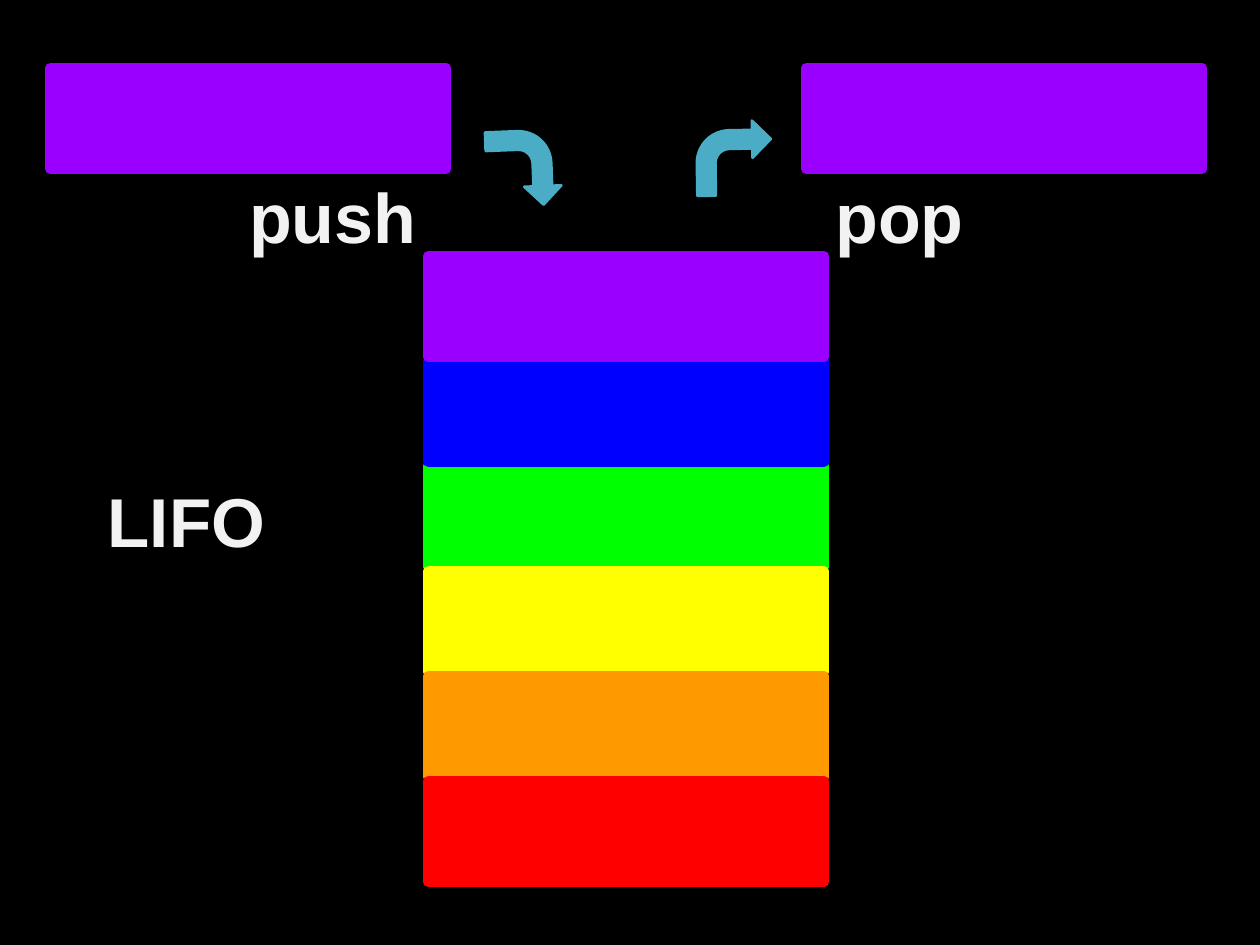
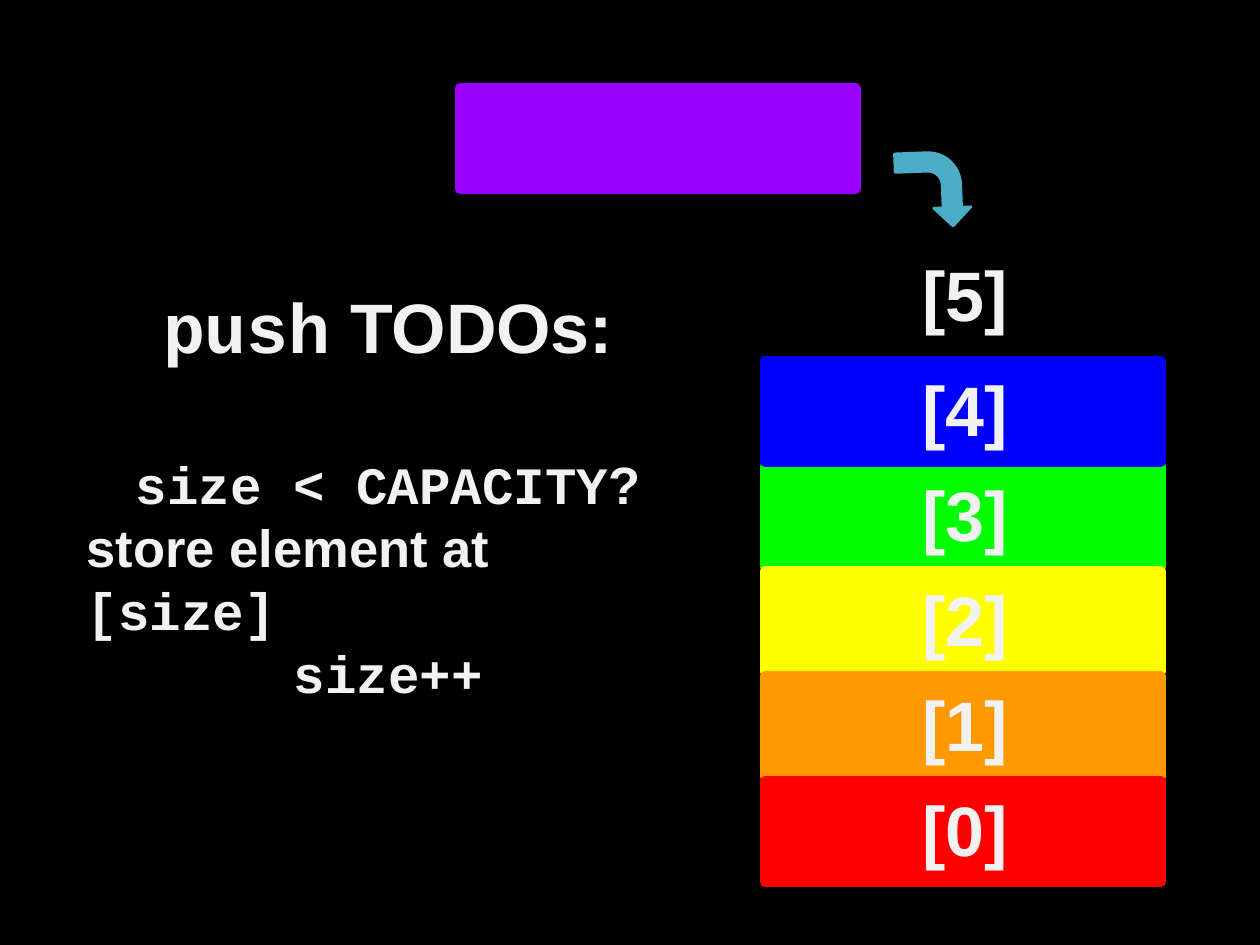
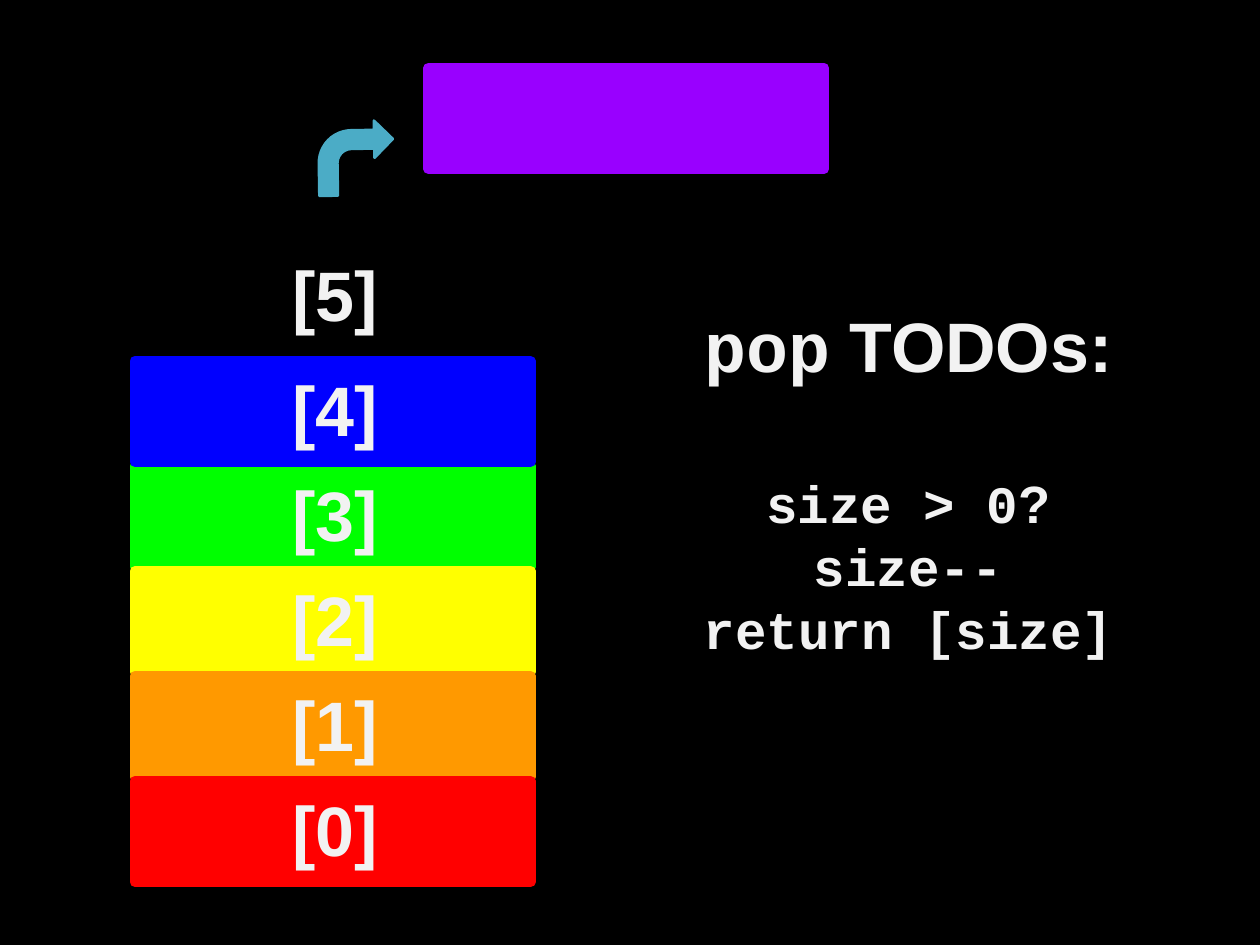
from pptx import Presentation
from pptx.dml.color import RGBColor
from pptx.enum.shapes import MSO_SHAPE
from pptx.enum.text import MSO_ANCHOR, PP_ALIGN
from pptx.util import Inches, Pt

BLACK = RGBColor(0x00, 0x00, 0x00)
OFF_WHITE = RGBColor(0xF2, 0xF2, 0xF2)
TEAL = RGBColor(0x4B, 0xAC, 0xC6)
PURPLE = RGBColor(0x99, 0x00, 0xFF)
BLUE = RGBColor(0x00, 0x00, 0xFF)
GREEN = RGBColor(0x00, 0xFF, 0x00)
YELLOW = RGBColor(0xFF, 0xFF, 0x00)
ORANGE = RGBColor(0xFF, 0x99, 0x00)
RED = RGBColor(0xFF, 0x00, 0x00)

SANS = "Arial"
MONO = "Courier New"

BAR_WIDTH, BAR_HEIGHT = 3.14, 0.8
BASE_TOP = 6.2
PITCH = 2.5 / 3
ARROW_SIZE = 0.59
DOWN, RIGHT = 87.8, 359.1
LAYERS = [(3, GREEN), (4, BLUE), (5, PURPLE), (2, YELLOW), (1, ORANGE), (0, RED)]
FREE_SLOT = 5


def add_page(deck):
    """Add a blank black slide."""
    page = deck.slides.add_slide(deck.slide_layouts[6])
    page.background.fill.solid()
    page.background.fill.fore_color.rgb = BLACK
    return page


def add_solid(page, preset, left, top, width, height, color, line_width):
    """Place a shape whose fill and outline share one colour."""
    shape = page.shapes.add_shape(
        preset, Inches(left), Inches(top), Inches(width), Inches(height))
    shape.shadow.inherit = False
    shape.fill.solid()
    shape.fill.fore_color.rgb = color
    shape.line.color.rgb = color
    shape.line.width = Pt(line_width)
    return shape


def add_bar(page, left, top, color=PURPLE):
    """Place one stack element."""
    add_solid(page, MSO_SHAPE.RECTANGLE, left, top, BAR_WIDTH, BAR_HEIGHT, color, 6)


def add_arrow(page, left, top, rotation):
    """Place a bent arrow turned to its direction."""
    arrow = add_solid(
        page, MSO_SHAPE.BENT_ARROW, left, top, ARROW_SIZE, ARROW_SIZE, TEAL, 1.5)
    arrow.adjustments[3] = 0.44
    arrow.rotation = rotation


def add_text(page, left, top, width, height, lines, bottom_inset=0.1):
    """Place bold lines given as (runs, size, alignment), each run (text, font)."""
    box = page.shapes.add_textbox(
        Inches(left), Inches(top), Inches(width), Inches(height))
    frame = box.text_frame
    frame.word_wrap = True
    frame.vertical_anchor = MSO_ANCHOR.MIDDLE
    frame.margin_left = frame.margin_right = frame.margin_top = Inches(0.1)
    frame.margin_bottom = Inches(bottom_inset)
    for index, (runs, size, alignment) in enumerate(lines):
        para = frame.add_paragraph() if index else frame.paragraphs[0]
        para.alignment = alignment
        para.font.size = Pt(size)
        para.font.bold = True
        para.font.color.rgb = OFF_WHITE
        for text, font in runs:
            span = para.add_run()
            span.text = text
            span.font.name = font
    return frame


def add_label(page, left, top, width, height, text, size=40, bottom_inset=0.1):
    """Place one centred line of sans text."""
    line = ([(text, SANS)], size, PP_ALIGN.CENTER)
    add_text(page, left, top, width, height, [line], bottom_inset)


def add_stack(page, left, height):
    """Stack the lowest bars, up to the given height."""
    for level, color in LAYERS:
        if level < height:
            add_bar(page, left, BASE_TOP - level * PITCH, color)


def add_indices(page, left):
    """Number the slots of a stack, with the free one slightly raised."""
    for level in range(FREE_SLOT + 1):
        raised = 0.08 if level == FREE_SLOT else 0
        top = BASE_TOP + 0.05 - level * PITCH - raised
        add_label(page, left + 0.91, top, 1.36, 0.65, f"[{level}]")


def add_todos(page, left, top, operation, steps):
    """Write the heading of an operation and its steps."""
    heading = ([(operation, MONO), (" TODOs:", SANS)], 40, PP_ALIGN.CENTER)
    lines = [heading] + [(runs, 30, alignment) for runs, alignment in steps]
    frame = add_text(page, left, top, 4.98, 3.28, lines)
    frame.paragraphs[0].space_after = Pt(48)


def build_overview(deck):
    """Show a full stack with both operations."""
    page = add_page(deck)
    add_label(page, -0.9, 3.17, 4.76, 1.91, "LIFO", 39.5)
    add_stack(page, 3.4, 6)
    for left in (0.4, 6.4):
        add_bar(page, left, 0.54)
    add_arrow(page, 3.86, 1.04, DOWN)
    add_arrow(page, 5.53, 0.96, RIGHT)
    for left, operation in ((1, "push"), (5.5, "pop")):
        add_label(page, left, 0.42, 3.28, 3.28, operation, bottom_inset=0.8)


def build_push(deck):
    """Show an element entering the stack."""
    page = add_page(deck)
    add_stack(page, 6.07, FREE_SLOT)
    add_bar(page, 3.65, 0.7)
    add_arrow(page, 7.11, 1.21, DOWN)
    add_todos(page, 0.59, 2.28, "push", [
        ([("size < CAPACITY", MONO), ("?", SANS)], PP_ALIGN.CENTER),
        ([("store element at ", SANS), ("[size]", MONO)], PP_ALIGN.LEFT),
        ([("size++", MONO)], PP_ALIGN.CENTER),
    ])
    add_indices(page, 6.07)


def build_pop(deck):
    """Show an element leaving the stack."""
    page = add_page(deck)
    add_stack(page, 1.07, FREE_SLOT)
    add_todos(page, 4.72, 2.18, "pop", [
        ([("size > 0", MONO), ("?", SANS)], PP_ALIGN.CENTER),
        ([("size--", MONO)], PP_ALIGN.CENTER),
        ([("return [size]", MONO)], PP_ALIGN.CENTER),
    ])
    add_indices(page, 1.07)
    add_arrow(page, 2.53, 0.96, RIGHT)
    add_bar(page, 3.4, 0.54)


def main():
    """Build and save the deck."""
    deck = Presentation()
    deck.slide_width = Inches(10)
    deck.slide_height = Inches(7.5)
    build_overview(deck)
    build_push(deck)
    build_pop(deck)
    deck.save("out.pptx")


main()
